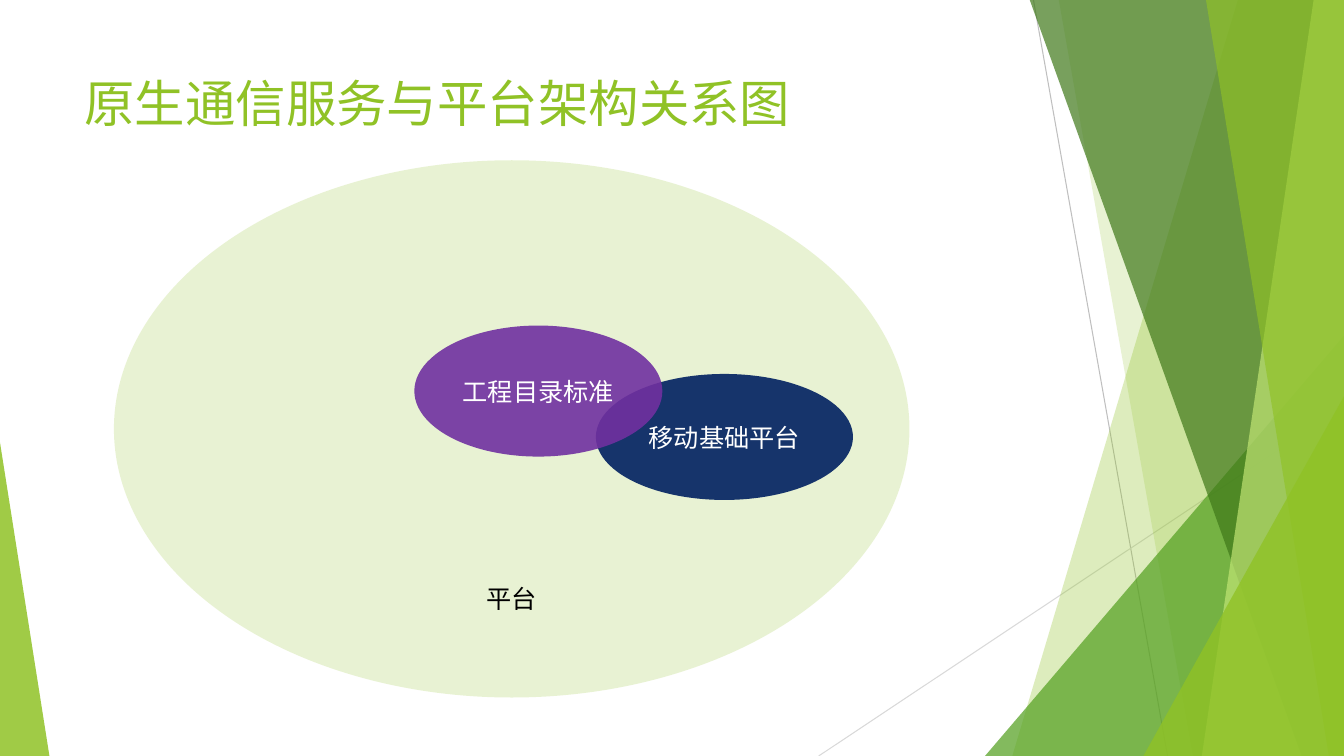
from lxml import etree
from pptx import Presentation
from pptx.dml.color import RGBColor
from pptx.enum.shapes import MSO_CONNECTOR, MSO_SHAPE
from pptx.enum.text import MSO_ANCHOR, PP_ALIGN
from pptx.oxml.ns import qn
from pptx.util import Inches, Pt

STRAIGHT = MSO_CONNECTOR.STRAIGHT
TRIANGLE = MSO_SHAPE.ISOSCELES_TRIANGLE
ELLIPSE = MSO_SHAPE.OVAL
TOP, MIDDLE, BOTTOM = MSO_ANCHOR.TOP, MSO_ANCHOR.MIDDLE, MSO_ANCHOR.BOTTOM
LEFT, CENTER = PP_ALIGN.LEFT, PP_ALIGN.CENTER

FONT = "Cabin"
GREEN = "90C226"
WIDTH, HEIGHT = 13.33, 7.5


def color(hex_code):
    return RGBColor.from_string(hex_code)


def paint(shape, fill, opacity):
    """Give a shape a see-through fill (opacity in percent) and no outline."""
    shape.shadow.inherit = False
    shape.line.fill.background()
    shape.fill.solid()
    shape.fill.fore_color.rgb = color(fill)
    srgb = shape.fill._xPr.find(qn("a:solidFill")).find(qn("a:srgbClr"))
    etree.SubElement(srgb, qn("a:alpha")).set("val", str(opacity * 1000))


def add_line(slide, start, end, line_color):
    ends = [Inches(value) for value in (*start, *end)]
    line = slide.shapes.add_connector(STRAIGHT, *ends)
    line.line.color.rgb = color(line_color)
    line.line.width = Pt(0.75)
    etree.SubElement(line._element.spPr, qn("a:effectLst"))


def add_band(slide, top_x, bottom_x, fill, opacity):
    """Fill the area between a slanted left edge and the right slide edge."""
    top = Inches(-0.01)
    right, bottom = Inches(WIDTH), Inches(HEIGHT)
    outline = slide.shapes.build_freeform(Inches(top_x), top)
    outline.add_line_segments(
        [(right, top), (right, bottom), (Inches(bottom_x), bottom)], close=True)
    paint(outline.convert_to_shape(), fill, opacity)


def add_corner(slide, left, width, height, apex, fill, opacity):
    """Add a triangle standing on the bottom edge; apex 0 is left, 1 is right."""
    corner = slide.shapes.add_shape(
        TRIANGLE, Inches(left), Inches(HEIGHT - height), Inches(width), Inches(height))
    corner.adjustments[0] = apex
    paint(corner, fill, opacity)


def write(shape, text, size, text_color, align, anchor):
    frame = shape.text_frame
    frame.word_wrap = True
    frame.vertical_anchor = anchor
    frame.text = text
    paragraph = frame.paragraphs[0]
    paragraph.alignment = align
    font = paragraph.runs[0].font
    font.name = FONT
    font.size = Pt(size)
    font.color.rgb = color(text_color)


def add_title(slide, text):
    title = slide.shapes.add_textbox(
        Inches(0.74), Inches(0.67), Inches(9.4), Inches(1.44))
    write(title, text, 36, GREEN, LEFT, TOP)


def add_ellipse(slide, box, label, fill, opacity, text_color="FFFFFF", anchor=MIDDLE):
    ellipse = slide.shapes.add_shape(ELLIPSE, *[Inches(value) for value in box])
    paint(ellipse, fill, opacity)
    write(ellipse, label, 18, text_color, CENTER, anchor)


def add_backdrop(slide):
    add_line(slide, (10.25, 0), (11.58, HEIGHT), "BFBFBF")
    add_line(slide, (WIDTH, 4.03), (8.12, HEIGHT), "D9D9D9")
    add_band(slide, 12.28, 10.04, GREEN, 30)
    add_band(slide, 10.5, 11.83, GREEN, 20)
    add_corner(slide, 9.77, 3.56, 4.17, 1, "54A021", 72)
    add_band(slide, 10.21, 12.91, "3F7819", 70)
    add_band(slide, 13.03, 11.92, "C0E474", 70)
    add_band(slide, 11.96, 13.18, GREEN, 65)
    add_corner(slide, 11.34, 1.99, 3.57, 1, GREEN, 80)
    add_corner(slide, 0, 0.49, 3.11, 0, GREEN, 85)


def main():
    presentation = Presentation()
    presentation.slide_width = Inches(WIDTH)
    presentation.slide_height = Inches(HEIGHT)
    slide = presentation.slides.add_slide(presentation.slide_layouts[6])

    add_backdrop(slide)
    add_title(slide, "原生通信服务与平台架构关系图")
    add_ellipse(slide, (1.13, 1.59, 7.89, 5.33), "平台", GREEN, 20, "000000", BOTTOM)
    add_ellipse(slide, (5.91, 3.71, 2.55, 1.25), "移动基础平台", "002060", 90)
    add_ellipse(slide, (4.11, 3.23, 2.46, 1.3), "工程目录标准", "7030A0", 90)

    presentation.save("out.pptx")


if __name__ == "__main__":
    main()
